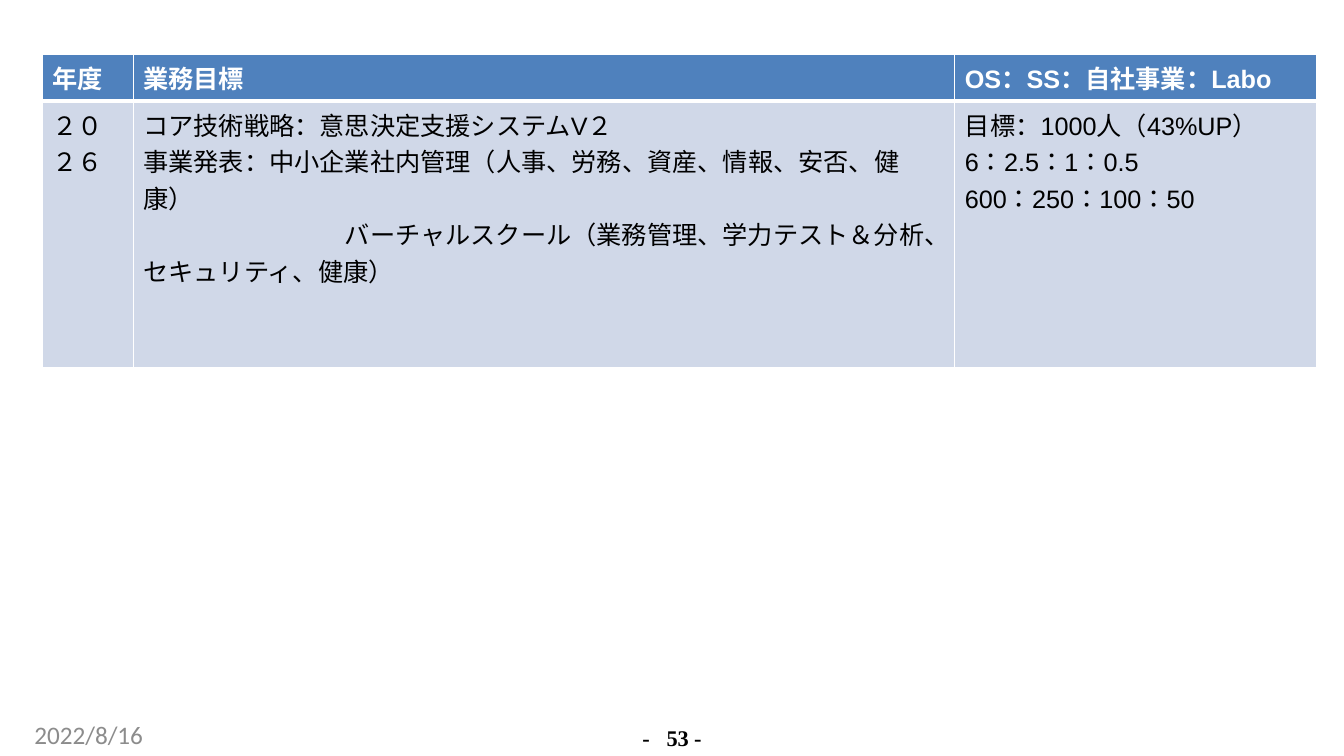
"""Build the slide with the business target table for fiscal 2026."""
from lxml import etree
from pptx import Presentation
from pptx import util as u
from pptx.dml.color import RGBColor
from pptx.enum import text
from pptx.oxml import ns

HEADER = ["年度", "業務目標", "OS：SS：自社事業：Labo"]
TARGETS = [
    ["２０２６"],
    [
        "コア技術戦略：意思決定支援システムV２",
        "事業発表：中小企業社内管理（人事、労務、資産、情報、安否、健康）",
        "バーチャルスクール（業務管理、学力テスト＆分析、セキュリティ、健康）",
    ],
    ["目標：1000人（43%UP）", "6：2.5：1：0.5", "600：250：100：50"],
]
ROWS = [[[heading] for heading in HEADER], TARGETS]
INDENTED = TARGETS[1][2]
DATE, PAGE = "2022/8/16", "-\t53 -"

COLORS = {"header": "4F81BD", "body": "D0D8E8", "white": "FFFFFF",
          "black": "000000", "date": "8C8C8C"}
COLUMN_WIDTHS = [0.9, 8.15, 3.59]
ROW_HEIGHTS = [0.45, 2.64]
TABLE_LEFT, TABLE_TOP = 0.42, 0.54


def style(paragraph, font_name, size, color, bold=False):
    for run in paragraph.runs:
        font = run.font
        font.name, font.size, font.bold = font_name, u.Pt(size), bold
        font.color.rgb = RGBColor.from_string(COLORS[color])
        east_asian = etree.SubElement(run._r.get_or_add_rPr(), ns.qn("a:ea"))
        east_asian.set("typeface", "Noto Sans CJK JP")


def add_borders(cell, widths):
    properties = cell._tc.get_or_add_tcPr()
    for side, width in widths.items():
        line = etree.SubElement(properties, ns.qn(f"a:ln{side}"), w=str(u.Pt(width)))
        fill = etree.SubElement(line, ns.qn("a:solidFill"))
        etree.SubElement(fill, ns.qn("a:srgbClr"), val=COLORS["white"])


def fill_cell(cell, lines, is_header):
    add_borders(cell, {"L": 1, "R": 1, "T": 1 if is_header else 3,
                       "B": 3 if is_header else 1})
    cell.fill.solid()
    cell.fill.fore_color.rgb = RGBColor.from_string(COLORS["header" if is_header else "body"])
    cell.text_frame.text = "\n".join(lines)
    for paragraph in cell.text_frame.paragraphs:
        style(paragraph, "Arial", 18, "white" if is_header else "black", is_header)
        if paragraph.text == INDENTED:
            paragraph._p.get_or_add_pPr().set("indent", str(u.Inches(2)))


def add_table(slide):
    frame = slide.shapes.add_table(
        len(ROWS), len(HEADER), u.Inches(TABLE_LEFT), u.Inches(TABLE_TOP),
        u.Inches(sum(COLUMN_WIDTHS)), u.Inches(sum(ROW_HEIGHTS)))
    table = frame.table
    for column, width in zip(table.columns, COLUMN_WIDTHS):
        column.width = u.Inches(width)
    for row, height, contents in zip(table.rows, ROW_HEIGHTS, ROWS):
        row.height = u.Inches(height)
        for cell, lines in zip(row.cells, contents):
            fill_cell(cell, lines, contents is ROWS[0])


def add_label(slide, label, left, top, width, height):
    frame = slide.shapes.add_textbox(*map(u.Inches, (left, top, width, height))).text_frame
    frame.word_wrap = True
    frame.margin_left = frame.margin_right = frame.margin_top = frame.margin_bottom = 0
    frame.text = label
    return frame.paragraphs[0]


def add_footer(slide):
    page = add_label(slide, PAGE, 6.23, 7.19, 0.86, 0.25)
    properties = page._p.get_or_add_pPr()
    properties.set("marL", str(u.Inches(0.01)))
    tabs = etree.SubElement(properties, ns.qn("a:tabLst"))
    etree.SubElement(tabs, ns.qn("a:tab"), pos=str(u.Inches(0.24)), algn="l")
    page.alignment = text.PP_ALIGN.CENTER
    page.line_spacing = u.Pt(18.4)
    style(page, "Times New Roman", 16, "black", True)
    for run in page.runs:
        run._r.get_or_add_rPr().set("spc", "-10")
    date = add_label(slide, DATE, 0.34, 7.14, 3.07, 0.3)
    style(date, "Calibri", 18, "date")


def main():
    presentation = Presentation()
    presentation.slide_width, presentation.slide_height = u.Inches(13.33), u.Inches(7.5)
    slide = presentation.slides.add_slide(presentation.slide_layouts[6])
    add_table(slide)
    add_footer(slide)
    presentation.save("out.pptx")


if __name__ == "__main__":
    main()
